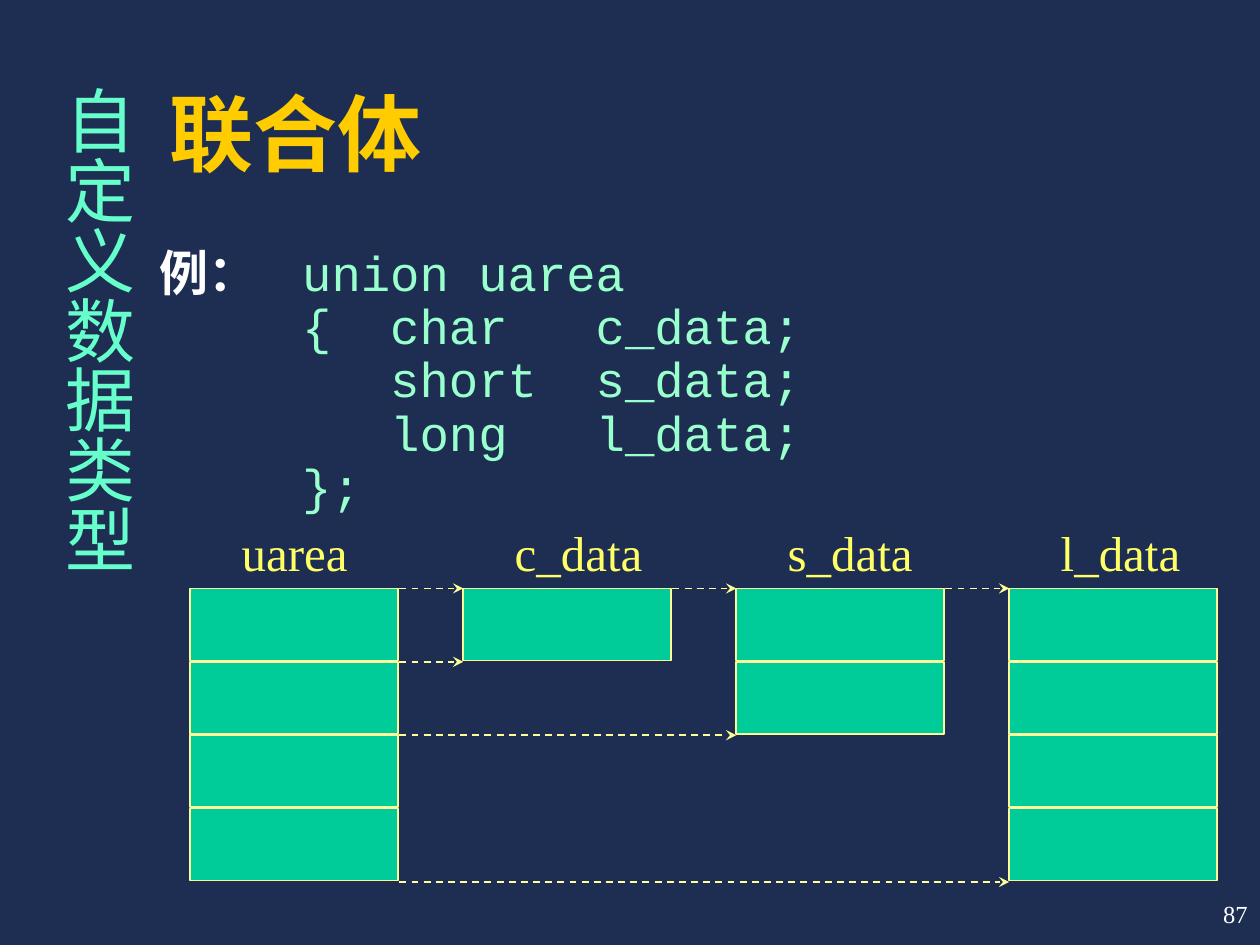
from pptx import Presentation
from pptx.dml.color import RGBColor
from pptx.enum.dml import MSO_LINE as Dash
from pptx.enum.shapes import MSO_CONNECTOR as Conn, MSO_SHAPE as Shape
from pptx.enum.text import MSO_ANCHOR as Anchor, PP_ALIGN as Align
from pptx.oxml.ns import qn
from pptx.util import Inches, Pt
from lxml.etree import SubElement as Sub

HUES = {"back": "1E2E53", "white": "FFFFFF", "gold": "FFCC00", "aqua": "66FFCC",
        "mint": "99FFCC", "label": "FFFF66", "edge": "FFFF99", "cell": "00CC99"}
FONTS = {
    "page": {"size": Pt(14), "name": "Times New Roman", "hue": "white"},
    "head": {"size": Pt(28), "name": "Times New Roman", "hue": "white", "bold": True},
    "code": {"size": Pt(28), "name": "Courier New", "hue": "mint"},
    "label": {"size": Pt(28), "name": "Times New Roman", "hue": "label"},
    "title": {"size": Pt(48), "name": "Arial", "hue": "gold", "bold": True},
    "side": {"size": Pt(40), "name": "Noto Sans CJK SC", "hue": "aqua"},
}
CODE = ["union uarea", "{  char   c_data;", "   short  s_data;", "   long   l_data;", "};"]
AREAS = [("uarea", 4, 1.04), ("c_data", 1, 1.22), ("s_data", 2, 1.19), ("l_data", 4, 1.15)]


def color(key):
    """Return the named colour."""
    return RGBColor.from_string(HUES[key])


def style(obj, form):
    """Set each format value on an object."""
    for key, val in form.items():
        setattr(obj, key, val)


def write(para, text, kind):
    """Add a run in one of the slide's fonts."""
    run = para.add_run()
    run.text = text
    form = dict(FONTS[kind])
    run.font.color.rgb = color(form.pop("hue"))
    style(run.font, form)
    Sub(run.font._element, qn("a:ea"), typeface="Noto Sans CJK SC")


def add_text(slide, box, text="", kind="", align=Align.LEFT, **form):
    """Place a text box and return its frame."""
    frame = slide.shapes.add_textbox(*map(Inches, box)).text_frame
    style(frame, {"word_wrap": True, **form})
    frame.paragraphs[0].alignment = align
    if text:
        write(frame.paragraphs[0], text, kind)
    return frame


def add_side(slide, box):
    """Place the vertical chapter name."""
    pads = {"margin_left": Inches(0.05), "margin_right": Inches(0.05),
            "margin_top": Inches(0.1), "margin_bottom": Inches(0.1)}
    frame = add_text(slide, box, "自定义数据类型", "side", Align.CENTER, **pads)
    frame._txBody.bodyPr.set("vert", "eaVert")


def add_code(slide, box):
    """Place the example with its code hung beside the heading."""
    frame = add_text(slide, box)
    hang = Inches(1.13)
    for num, line in enumerate(CODE):
        para = frame.add_paragraph() if num else frame.paragraphs[0]
        style(para, {"line_spacing": 0.7, "space_before": Pt(7 if num else 0)})
        props = para._p.get_or_add_pPr()
        props.set("marL", str(hang))
        props.set("indent", str(0 if num else -hang))
        if not num:
            write(para, "例：\t", "head")
        write(para, line, "code")


def add_cell(slide, box):
    """Place one byte of memory."""
    cell = slide.shapes.add_shape(Shape.RECTANGLE, *map(Inches, box))
    cell.shadow.inherit = False
    cell.fill.solid()
    cell.fill.fore_color.rgb = color("cell")
    cell.line.color.rgb = color("edge")
    cell.line.width = Pt(1)


def add_arrow(slide, start, end, y):
    """Draw a level dashed arrow."""
    arrow = slide.shapes.add_connector(Conn.STRAIGHT, *map(Inches, (start, y, end, y)))
    arrow.line.color.rgb = color("edge")
    style(arrow.line, {"width": Pt(1), "dash_style": Dash.DASH})
    Sub(arrow.line._get_or_add_ln(), qn("a:tailEnd"), type="stealth")
    Sub(arrow._element.spPr, qn("a:effectLst"))


def add_memory(slide, box):
    """Draw the memory shared by the union and its members."""
    left, top, width, height = box
    wide, label = 1.65, 0.57
    step = (width - wide) / (len(AREAS) - 1)
    first = top + label
    pitch = (height - label) / max(count for _, count, _ in AREAS)
    for col, (name, count, span) in enumerate(AREAS):
        x = left + col * step
        add_text(slide, (x + 0.31, top, span, label), name, "label", word_wrap=False)
        for row in range(count):
            add_cell(slide, (x, first + row * pitch, wide, pitch - 0.01))
        if col:
            add_arrow(slide, x - step + wide + 0.01, x, first)
            add_arrow(slide, left + wide + 0.01, x, first + count * pitch)


def main():
    """Build and save the slide."""
    deck = Presentation()
    style(deck, {"slide_width": Inches(10), "slide_height": Inches(7.5)})
    slide = deck.slides.add_slide(deck.slide_layouts[6])
    slide.background.fill.solid()
    slide.background.fill.fore_color.rgb = color("back")
    add_text(slide, (1.25, 0.25, 8, 1.25), "联合体", "title", vertical_anchor=Anchor.BOTTOM)
    add_side(slide, (0.3, 0.58, 0.86, 6.25))
    add_code(slide, (1.17, 2, 8.08, 2.17))
    add_memory(slide, (1.51, 4.1, 8.15, 2.9))
    add_text(slide, (7.92, 7, 2.08, 0.5), "87", "page", Align.RIGHT,
             vertical_anchor=Anchor.MIDDLE, word_wrap=False)
    deck.save("out.pptx")


if __name__ == "__main__":
    main()
